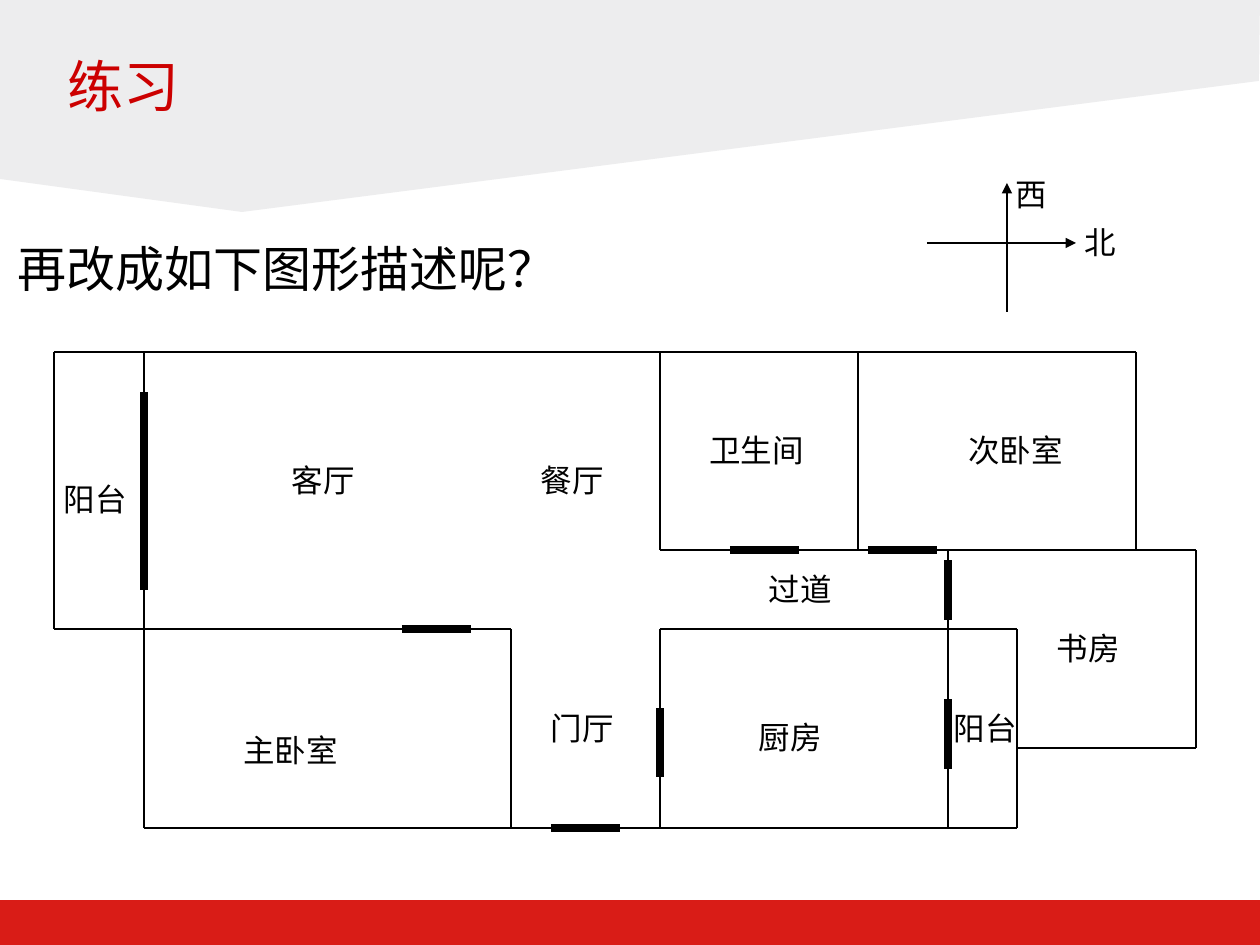
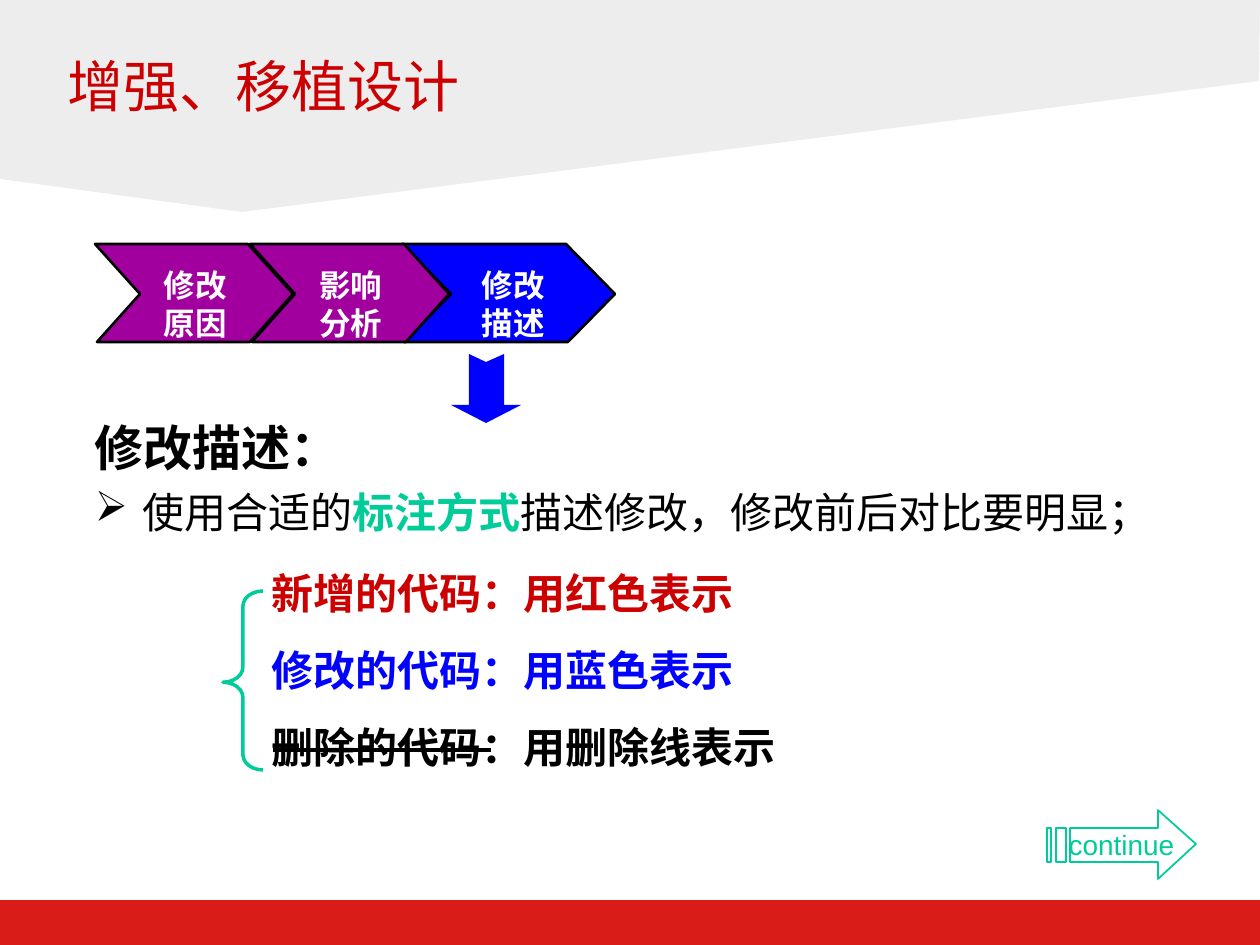
"""Builds two training slides: a floor plan exercise and a change description guide."""
import pptx
import pptx.dml.color
import pptx.enum.lang
import pptx.enum.shapes
import pptx.enum.text
import pptx.oxml
import pptx.oxml.ns
import pptx.util

PX = pptx.util.Inches(1) / 126
CJK_FONT = "Noto Sans CJK SC"
BLACK, WHITE, RED, BLUE = "000000", "FFFFFF", "CC0000", "0000FF"
GREEN, PURPLE, BAND_RED, PALE_GREY = "00CC99", "A1009F", "D91C17", "EDEDEE"
WALL, DOOR = 1.47, 4.5
SHAPES = pptx.enum.shapes.MSO_SHAPE
CENTER = pptx.enum.text.PP_ALIGN.CENTER
MIDDLE = pptx.enum.text.MSO_ANCHOR.MIDDLE
TITLE = {"name": "Times New Roman", "size": 32, "color": RED}
LABEL = {"name": "Times New Roman", "size": 18, "color": BLACK}
HEADING = {"name": CJK_FONT, "size": 28, "color": BLACK}
BODY = {"name": CJK_FONT, "size": 24, "color": BLACK}
CODE = {"name": "Arial", "size": 24, "color": BLACK, "bold": True}
STEP = {"name": "Arial", "size": 18, "color": WHITE, "bold": True}
BUTTON = {"name": "Arial", "size": 16, "color": GREEN}


def px(length):
    """Turn pixels into EMU."""
    return pptx.util.Emu(round(length * PX))


def color(value):
    """Turn a hex string into a colour."""
    return pptx.dml.color.RGBColor.from_string(value)


def element(parent, tag, **attributes):
    """Append a drawing element with attributes to a parent."""
    child = pptx.oxml.parse_xml(f"<{tag} {pptx.oxml.ns.nsdecls('a')}/>")
    for key, value in attributes.items():
        child.set(key, str(value))
    parent.append(child)
    return child


def format_span(span, style):
    """Apply a dict of font values to a span of text."""
    values = dict(style)
    span.font.color.rgb = color(values.pop("color"))
    values["size"] = pptx.util.Pt(values["size"])
    values["language_id"] = pptx.enum.lang.MSO_LANGUAGE_ID.SIMPLIFIED_CHINESE
    for key, value in values.items():
        setattr(span.font, key, value)
    element(span.font._element, "a:ea", typeface=CJK_FONT)


def write(shape, paragraphs, insets, wrap=True, align=None, anchor=None, before=0):
    """Fill a shape with paragraphs, each a list of (text, style) spans."""
    frame = shape.text_frame
    values = {"word_wrap": wrap, "vertical_anchor": anchor or pptx.enum.text.MSO_ANCHOR.TOP}
    for side, inset in zip(("left", "top", "right", "bottom"), insets):
        values[f"margin_{side}"] = px(inset)
    for key, value in values.items():
        setattr(frame, key, value)
    for index, spans in enumerate(paragraphs):
        para = frame.add_paragraph() if index else frame.paragraphs[0]
        para.alignment = align
        if index and before:
            para.space_before = pptx.util.Pt(before)
        for text, style in spans:
            span = para.add_run()
            span.text = text
            format_span(span, style)


def text_box(page, box, paragraphs, insets=(0, 6, 0, 6), **layout):
    """Add a text box at the given box."""
    shape = page.shapes.add_textbox(*map(px, box))
    write(shape, paragraphs, insets, **layout)
    return shape


def label(page, left, top, text):
    """Add a short label that fits its text."""
    text_box(page, (left, top, 32 * len(text), 38), [[(text, LABEL)]], (0, 0, 0, 0), wrap=False)


def paint(shape, fill=None, line=None, width=1):
    """Set fill and line of a shape and take its shadow away."""
    shape.shadow.inherit = False
    if fill:
        shape.fill.solid()
        shape.fill.fore_color.rgb = color(fill)
    else:
        shape.fill.background()
    if line:
        shape.line.color.rgb = color(line)
        shape.line.width = pptx.util.Pt(width)
    else:
        shape.line.fill.background()
    return shape


def outline(page, left, top, contours, **look):
    """Draw closed contours whose points are relative to left and top."""
    builder = page.shapes.build_freeform(*contours[0][0], scale=PX)
    for index, points in enumerate(contours):
        if index:
            builder.move_to(*points[0])
        builder.add_line_segments(points[1:], close=True)
    return paint(builder.convert_to_shape(px(left), px(top)), **look)


def line(page, left, top, ends, width, arrow=False):
    """Draw a straight black line with ends relative to left and top."""
    x1, y1, x2, y2 = ends
    points = map(px, (left + x1, top + y1, left + x2, top + y2))
    connector = page.shapes.add_connector(pptx.enum.shapes.MSO_CONNECTOR.STRAIGHT, *points)
    connector.line.color.rgb = color(BLACK)
    connector.line.width = pptx.util.Pt(width)
    if arrow:
        element(connector.line._get_or_add_ln(), "a:tailEnd", type="triangle")
    element(connector._element.spPr, "a:effectLst")


def add_page(deck, title):
    """Add a blank page with the shared band, header and title."""
    page = deck.slides.add_slide(deck.slide_layouts[6])
    paint(page.shapes.add_shape(SHAPES.RECTANGLE, *map(px, (0, 900, 1260, 45))), BAND_RED)
    header = [(0, 0), (1260, 0), (1259, 81), (242, 212), (0, 179)]
    outline(page, 0, 0, [header], fill=PALE_GREY)
    text_box(page, (54, 45, 954, 118), [[(title, TITLE)]], (13, 6, 13, 6))
    return page


def floor_plan(page, left, top):
    """Draw walls, doors and room names of the flat."""
    walls = [
        (90, 476, 963, 476), (90, 476, 90, 0), (0, 277, 457, 277), (457, 277, 457, 476),
        (606, 476, 606, 277), (606, 277, 963, 277), (606, 198, 1142, 198), (0, 0, 1082, 0),
        (894, 476, 894, 198), (963, 476, 963, 277), (606, 198, 606, 0), (804, 198, 804, 0),
        (1082, 198, 1082, 0), (1142, 396, 1142, 198), (963, 396, 1142, 396), (0, 0, 0, 277),
    ]
    doors = [
        (348, 277, 417, 277), (497, 476, 566, 476), (676, 198, 745, 198), (814, 198, 883, 198),
        (606, 425, 606, 356), (90, 238, 90, 40), (894, 268, 894, 208), (894, 417, 894, 347),
    ]
    rooms = [
        (189, 379, "主卧室"), (914, 79, "次卧室"), (705, 366, "厨房"), (487, 109, "餐厅"),
        (238, 109, "客厅"), (10, 128, "阳台"), (900, 357, "阳台"), (655, 79, "卫生间"),
        (1003, 277, "书房"), (497, 357, "门厅"), (715, 218, "过道"),
    ]
    for width, segments in ((WALL, walls), (DOOR, doors)):
        for ends in segments:
            line(page, left, top, ends, width)
    for x, y, name in rooms:
        label(page, left + x, top + y, name)


def compass(page, left, top):
    """Draw the two direction arrows with their names."""
    line(page, left, top, (0, 68, 149, 68), WALL, arrow=True)
    line(page, left, top, (80, 137, 80, 8), WALL, arrow=True)
    label(page, left + 158, top + 48, "北")
    label(page, left + 89, top, "西")


def process_steps(page, left, top):
    """Draw the row of chevrons, last one first, and the arrow below it."""
    steps = [
        (307, "修改描述", BLUE, 164, 213, 49, 66),
        (155, "影响分析", PURPLE, 154, 199, 45, 55),
        (0, "修改原因", PURPLE, 153, 198, 45, 55),
    ]
    for x, text, fill, body, tip, notch, inset in steps:
        points = [(0, 0), (body, 0), (tip, 50), (body + 2, 98), (2, 98), (notch, 50)]
        chevron = outline(page, left + x, top, [points], fill=fill, line=BLACK, width=1.5)
        write(chevron, [[(text, STEP)]], (inset, 22, tip - inset - 91, 0), align=CENTER)
    pointer = [(53, 0), (53, 51), (70, 51), (35, 69), (0, 51), (18, 51), (18, 0), (35, 8)]
    outline(page, left + 356, top + 110, [pointer], fill=BLUE)


def description(page, box):
    """Write the heading and its bulleted rule."""
    rule = [
        ("使用合适的", BODY),
        ("标注方式", {**BODY, "color": GREEN, "bold": True}),
        ("描述修改，修改前后对比要明显；", BODY),
    ]
    heading = [("修改描述：", {**HEADING, "bold": True})]
    shape = text_box(page, box, [heading, rule], before=6)
    properties = shape.text_frame.paragraphs[1]._p.get_or_add_pPr()
    properties.set("marL", str(px(48)))
    properties.set("indent", str(px(-48)))
    element(element(properties, "a:buClr"), "a:srgbClr", val=BLACK)
    element(properties, "a:buChar", char="➢")


def code_marks(page, left, top):
    """List the code marks beside a brace, the last one struck through."""
    marks = [
        ("新增的代码：用红色表示", RED),
        ("修改的代码：用蓝色表示", "0101FF"),
        ("删除的代码：用删除线表示", BLACK),
    ]
    paragraphs = [[(text, {**CODE, "color": tint})] for text, tint in marks]
    text_box(page, (left + 49, top, 556, 217), paragraphs, before=15)
    brace_box = map(px, (left, top + 29, 40, 179))
    brace = paint(page.shapes.add_shape(SHAPES.LEFT_BRACE, *brace_box), line=GREEN, width=2)
    brace.adjustments[0], brace.adjustments[1] = 0.38, 0.51
    line(page, left, top, (50, 188, 268, 188), 2.5)


def continue_arrow(page, left, top):
    """Draw the striped arrow with its caption."""
    arrow = [(23, 18), (111, 18), (111, 0), (149, 34), (111, 69), (111, 52), (23, 52)]
    stripes = [[(a, 18), (b, 18), (b, 52), (a, 52)] for a, b in ((0, 4), (9, 19))]
    shape = outline(page, left, top, [arrow, *stripes], line=GREEN)
    caption = [[("continue", BUTTON)]]
    write(shape, caption, (13, 6, 13, 6), wrap=False, align=CENTER, anchor=MIDDLE)


def main():
    """Build and save the deck."""
    deck = pptx.Presentation()
    deck.slide_width, deck.slide_height = px(1260), px(945)

    page = add_page(deck, "练习")
    floor_plan(page, 54, 352)
    compass(page, 927, 175)
    text_box(page, (18, 232, 633, 72), [[("再改成如下图形描述呢？", HEADING)]], wrap=False)

    page = add_page(deck, "增强、移植设计")
    description(page, (95, 411, 1121, 132))
    process_steps(page, 95, 244)
    code_marks(page, 223, 562)
    continue_arrow(page, 1047, 810)

    deck.save("out.pptx")


if __name__ == "__main__":
    main()
